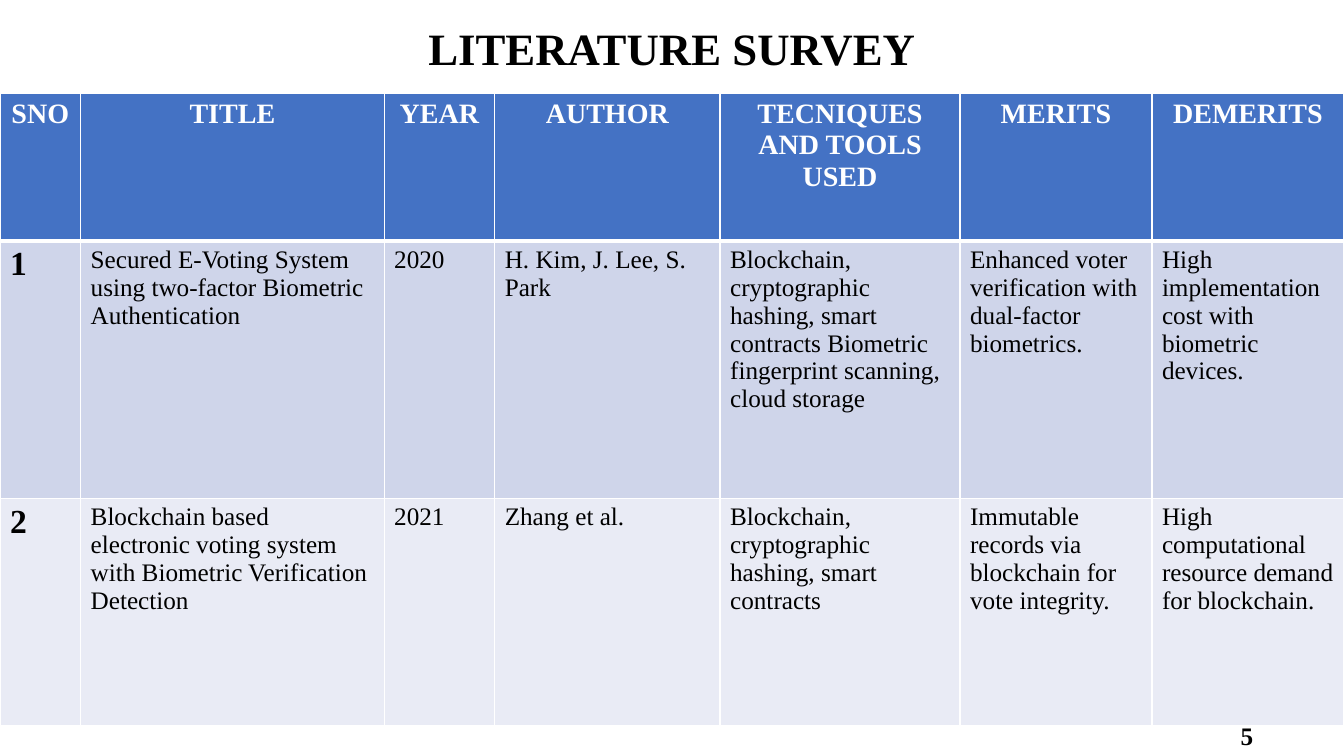
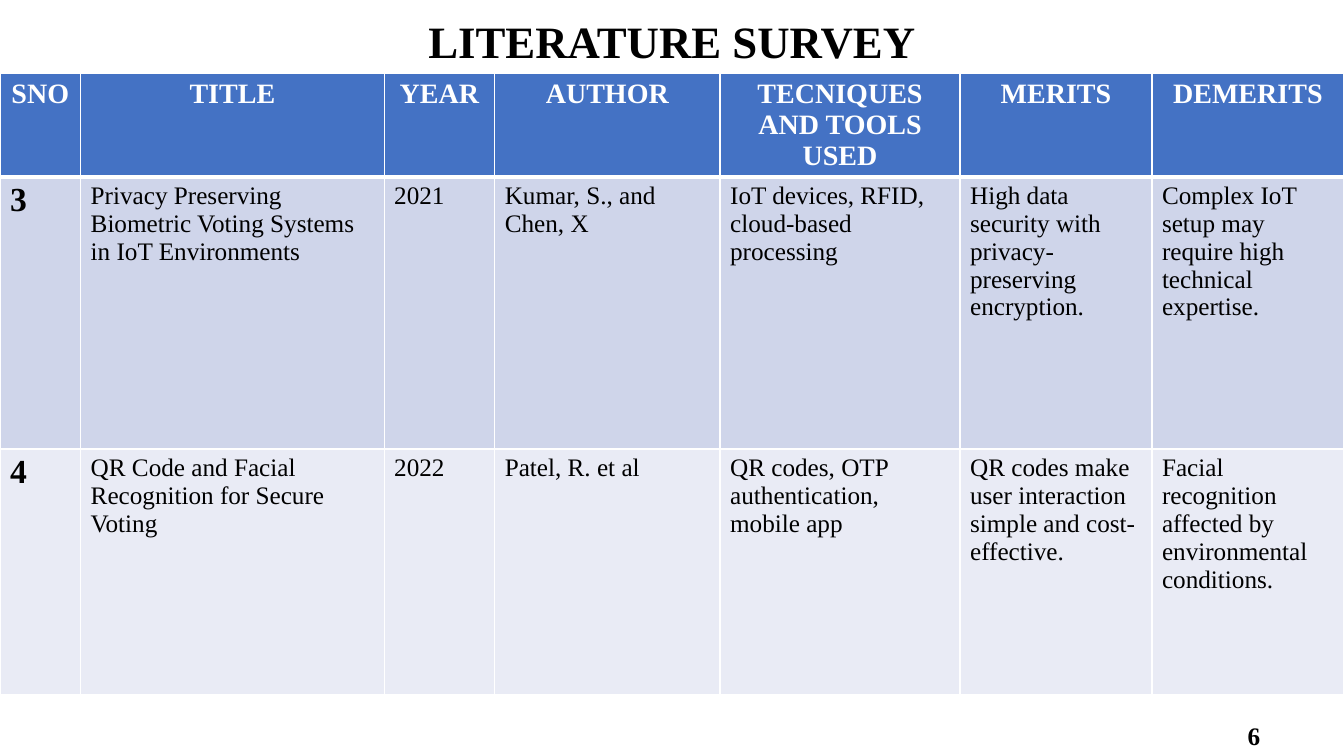
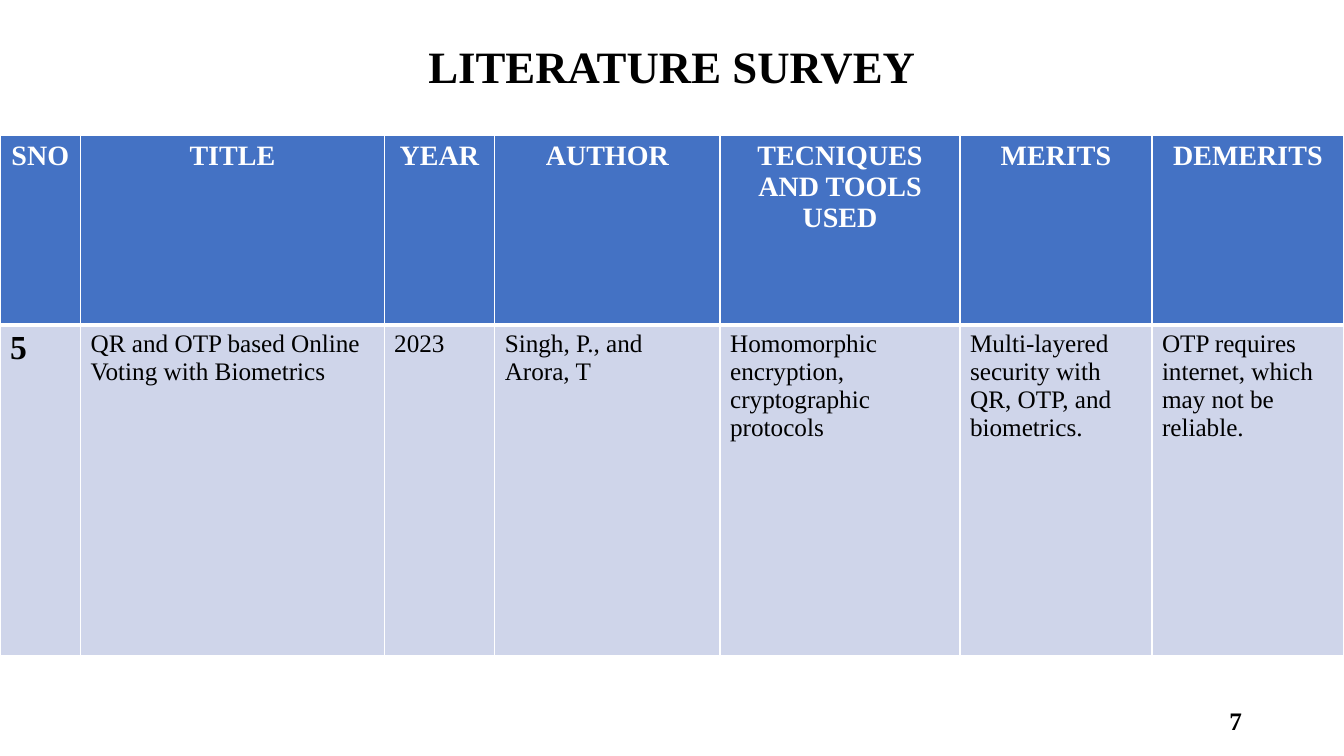
from dataclasses import dataclass

from lxml import etree
from pptx import Presentation
from pptx.dml.color import RGBColor
from pptx.enum import text
from pptx.oxml import ns
from pptx.util import Pt


@dataclass(frozen=True)
class Theme:
    font: str = "Times New Roman"
    ink: str = "000000"
    white: str = "FFFFFF"
    header_fill: str = "4472C4"
    band_fills: tuple = ("CFD5EA", "E9EBF5")
    title_size: int = 32
    header_size: int = 20
    serial_size: int = 24
    body_size: int = 18
    rule: int = 1
    header_rule: int = 3


@dataclass(frozen=True)
class SurveyPage:
    """One page of the survey; boxes are (left, top, width, height) in points."""
    number: str
    title_box: tuple
    number_box: tuple
    table_top: float
    row_heights: tuple
    studies: tuple


THEME = Theme()
SLIDE_WIDTH, SLIDE_HEIGHT = 960, 540
TITLE = "LITERATURE SURVEY"
HEADERS = ("SNO", "TITLE", "YEAR", "AUTHOR", "TECNIQUES AND TOOLS USED",
           "MERITS", "DEMERITS")
COLUMN_WIDTHS = (57.6, 216.8, 79, 161, 171.4, 137.1, 137.1)

PAGES = (
    SurveyPage(
        "5", (231, 11.5, 498, 46), (686.2, 511.2, 216, 28.8), 67, (105, 184, 162),
        (("1", "Secured E-Voting System using two-factor Biometric Authentication",
          "2020", "H. Kim, J. Lee, S. Park",
          "Blockchain, cryptographic hashing, smart contracts Biometric "
          "fingerprint scanning, cloud storage",
          "Enhanced voter verification with dual-factor biometrics.",
          "High implementation cost with biometric devices."),
         ("2", "Blockchain based electronic voting system with Biometric "
          "Verification Detection",
          "2021", "Zhang et al.",
          "Blockchain, cryptographic hashing, smart contracts",
          "Immutable records via blockchain for vote integrity.",
          "High computational resource demand for blockchain."))),
    SurveyPage(
        "6", (268.5, 6.5, 423, 46), (691.2, 511.2, 216, 28.8), 52.5, (71.3, 194.4, 175.7),
        (("3", "Privacy Preserving Biometric Voting Systems in IoT Environments",
          "2021", "Kumar, S., and Chen, X",
          "IoT devices, RFID, cloud-based processing",
          "High data security with privacy-preserving encryption.",
          "Complex IoT setup may require high technical expertise."),
         ("4", "QR Code and Facial Recognition for Secure Voting",
          "2022", "Patel, R. et al",
          "QR codes, OTP authentication, mobile app",
          "QR codes make user interaction simple and cost-effective.",
          "Facial recognition affected by environmental conditions."))),
    SurveyPage(
        "7", (298.5, 23.8, 363, 67.7), (678.2, 500.4, 216, 28.8), 96.5, (135.5, 236.3),
        (("5", "QR and OTP based Online Voting with Biometrics",
          "2023", "Singh, P., and Arora, T",
          "Homomorphic encryption, cryptographic protocols",
          "Multi-layered security with QR, OTP, and biometrics.",
          "OTP requires internet, which may not be reliable."),)),
)


def write(frame, words, size, color=THEME.ink, bold=True, align=text.PP_ALIGN.LEFT):
    frame.text = words
    para = frame.paragraphs[0]
    para.alignment = align
    font = para.runs[0].font
    font.name, font.size, font.bold = THEME.font, Pt(size), bold
    font.color.rgb = RGBColor.from_string(color)


def add_title(page, box):
    title = page.shapes.title
    title.left, title.top, title.width, title.height = map(Pt, box)
    frame = title.text_frame
    write(frame, TITLE, THEME.title_size, align=text.PP_ALIGN.CENTER)
    frame.vertical_anchor = text.MSO_ANCHOR.TOP
    frame.auto_size = text.MSO_AUTO_SIZE.NONE
    frame.word_wrap = True


def add_page_number(page, number, box):
    frame = page.shapes.add_textbox(*map(Pt, box)).text_frame
    frame.word_wrap = True
    frame.vertical_anchor = text.MSO_ANCHOR.MIDDLE
    write(frame, number, THEME.body_size, align=text.PP_ALIGN.RIGHT)


def set_borders(cell, top, bottom):
    """Draw white rules on all sides; call before filling the cell."""
    properties = cell._tc.get_or_add_tcPr()
    widths = {"a:lnL": THEME.rule, "a:lnR": THEME.rule, "a:lnT": top, "a:lnB": bottom}
    for tag, width in widths.items():
        line = etree.SubElement(properties, ns.qn(tag), w=str(Pt(width)))
        fill = etree.SubElement(line, ns.qn("a:solidFill"))
        etree.SubElement(fill, ns.qn("a:srgbClr"), val=THEME.white)


def format_cell(cell, words, row, column):
    set_borders(cell,
                top=THEME.header_rule if row == 1 else THEME.rule,
                bottom=THEME.header_rule if row == 0 else THEME.rule)
    cell.fill.solid()
    if row == 0:
        fill = THEME.header_fill
        write(cell.text_frame, words, THEME.header_size, THEME.white,
              align=text.PP_ALIGN.CENTER)
    else:
        fill = THEME.band_fills[(row - 1) % 2]
        is_serial = column == 0
        write(cell.text_frame, words,
              THEME.serial_size if is_serial else THEME.body_size, bold=is_serial)
    cell.fill.fore_color.rgb = RGBColor.from_string(fill)


def add_survey_table(page, top, row_heights, studies):
    rows = (HEADERS, *studies)
    table = page.shapes.add_table(
        len(rows), len(HEADERS), 0, Pt(top), Pt(SLIDE_WIDTH), Pt(sum(row_heights))).table
    for column, width in zip(table.columns, COLUMN_WIDTHS):
        column.width = Pt(width)
    for row, height in zip(table.rows, row_heights):
        row.height = Pt(height)
    for r, values in enumerate(rows):
        for c, words in enumerate(values):
            format_cell(table.cell(r, c), words, r, c)


def main():
    deck = Presentation()
    deck.slide_width, deck.slide_height = Pt(SLIDE_WIDTH), Pt(SLIDE_HEIGHT)
    title_only = deck.slide_layouts.get_by_name("Title Only")
    for survey in PAGES:
        page = deck.slides.add_slide(title_only)
        add_survey_table(page, survey.table_top, survey.row_heights, survey.studies)
        add_title(page, survey.title_box)
        add_page_number(page, survey.number, survey.number_box)
    deck.save("out.pptx")


if __name__ == "__main__":
    main()
